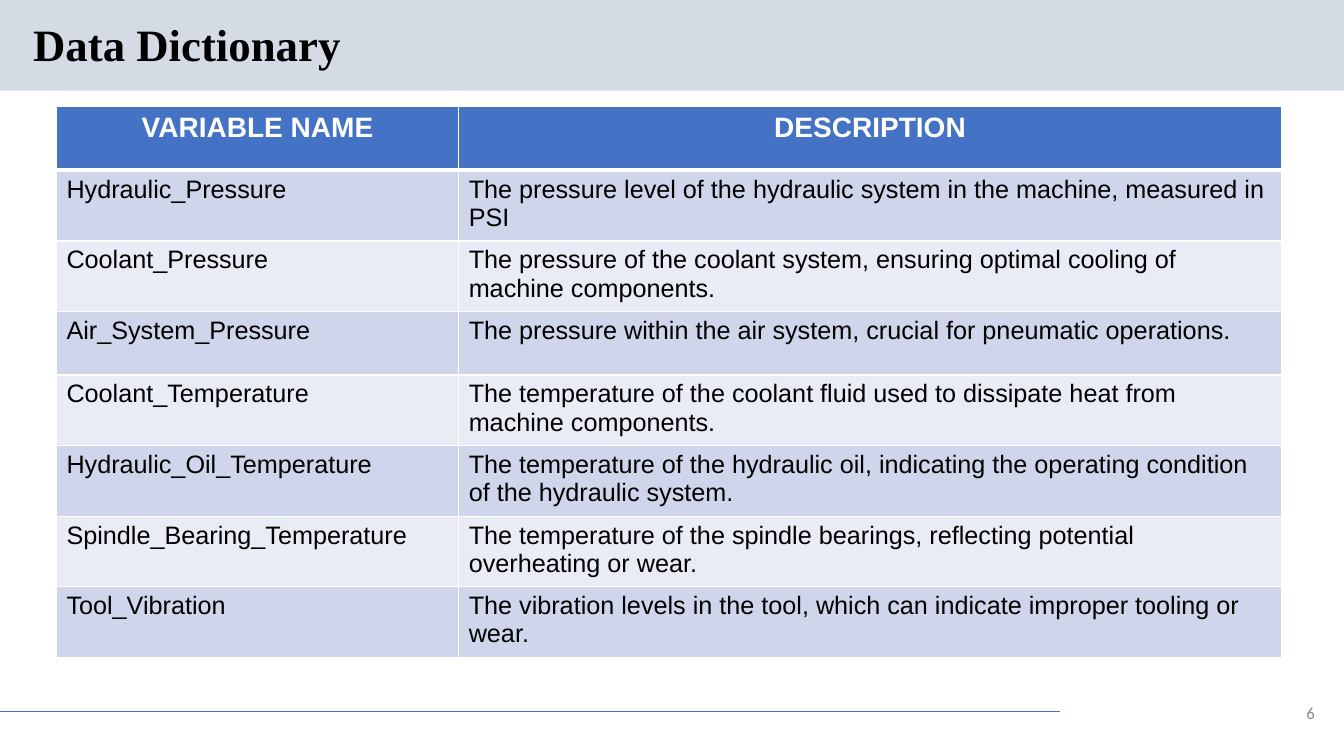
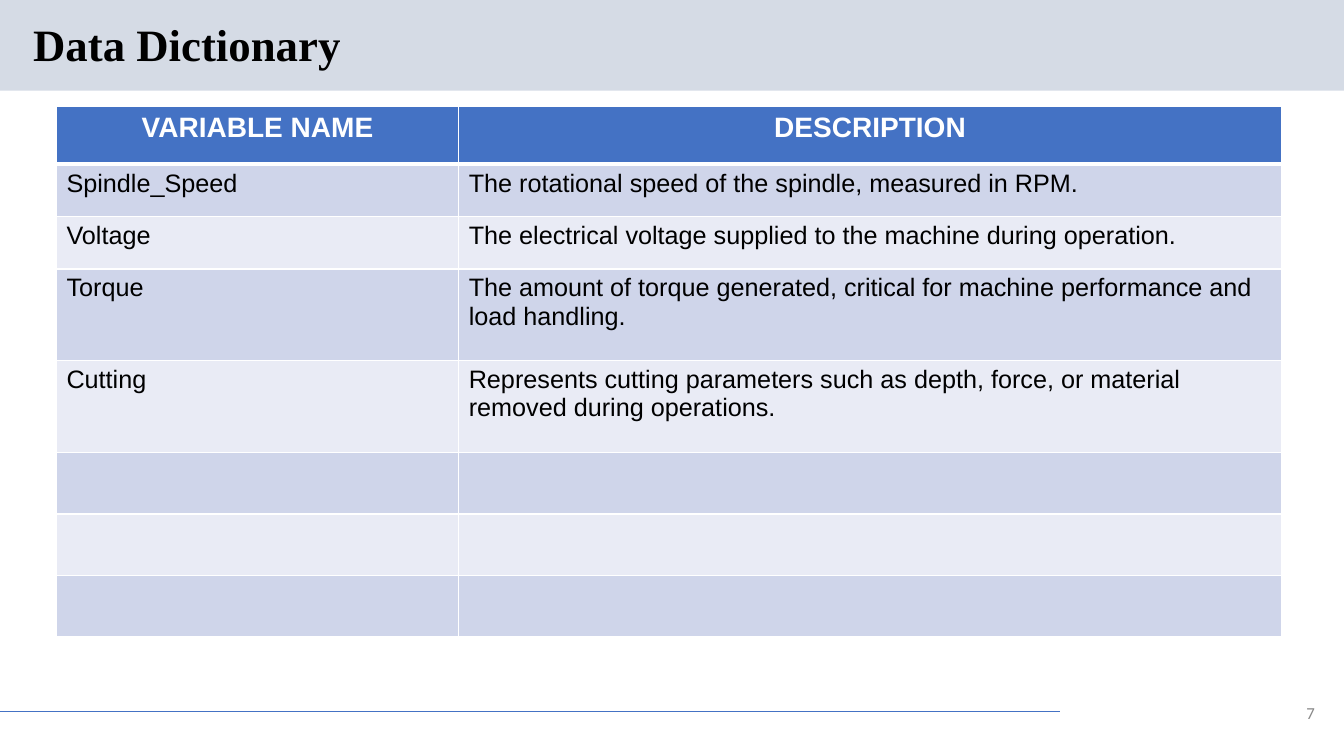
from dataclasses import dataclass

from lxml import etree
from pptx import Presentation
from pptx import util as u
from pptx.dml.color import RGBColor
from pptx.enum import shapes, text
from pptx.oxml.ns import qn

WHITE, BLACK, GREY = "FFFFFF", "000000", "888888"
BLUE, BAND = "4472C4", "D5DBE5"
ROW_FILLS = ("CFD5EA", "E9EBF5")
TITLE = "Data Dictionary"
HEADINGS = ("VARIABLE NAME", "DESCRIPTION")
COLUMN_WIDTHS = (3.99, 8.16)
LEFT, CENTER, RIGHT = text.PP_ALIGN.LEFT, text.PP_ALIGN.CENTER, text.PP_ALIGN.RIGHT


@dataclass(frozen=True)
class Variable:
    name: str = ""
    description: str = ""


@dataclass(frozen=True)
class DictionaryPage:
    number: int
    row_heights: tuple[float, ...]
    variables: tuple[Variable, ...]


PAGES = (
    DictionaryPage(6, (0.63,) * 8, (
        Variable("Hydraulic_Pressure",
                 "The pressure level of the hydraulic system in the machine, measured in PSI"),
        Variable("Coolant_Pressure",
                 "The pressure of the coolant system, ensuring optimal cooling of machine components."),
        Variable("Air_System_Pressure",
                 "The pressure within the air system, crucial for pneumatic operations."),
        Variable("Coolant_Temperature",
                 "The temperature of the coolant fluid used to dissipate heat from machine components."),
        Variable("Hydraulic_Oil_Temperature",
                 "The temperature of the hydraulic oil, indicating the operating condition "
                 "of the hydraulic system."),
        Variable("Spindle_Bearing_Temperature",
                 "The temperature of the spindle bearings, reflecting potential overheating or wear."),
        Variable("Tool_Vibration",
                 "The vibration levels in the tool, which can indicate improper tooling or wear."),
    )),
    DictionaryPage(7, (0.57, 0.52, 0.52, 0.91, 0.91, 0.61, 0.61, 0.61), (
        Variable("Spindle_Speed", "The rotational speed of the spindle, measured in RPM."),
        Variable("Voltage", "The electrical voltage supplied to the machine during operation."),
        Variable("Torque",
                 "The amount of torque generated, critical for machine performance and load handling."),
        Variable("Cutting",
                 "Represents cutting parameters such as depth, force, or material removed "
                 "during operations."),
        Variable(), Variable(), Variable(),
    )),
)


def color(value: str) -> RGBColor:
    return RGBColor.from_string(value)


def write(frame, content: str, *, size: float, font: str = "Arial", fill: str = BLACK,
          bold: bool = False, align=LEFT, spacing: float = 1.0) -> None:
    """Put one formatted paragraph into a text frame."""
    paragraph = frame.paragraphs[0]
    paragraph.alignment = align
    paragraph.line_spacing = spacing
    if not content:
        paragraph.font.size = u.Pt(size)
        return
    run = paragraph.add_run()
    run.text = content
    run.font.name = font
    run.font.size = u.Pt(size)
    run.font.bold = bold
    run.font.color.rgb = color(fill)


def add_text(slide, box: tuple[float, float, float, float], content: str, **style) -> None:
    frame = slide.shapes.add_textbox(*map(u.Inches, box)).text_frame
    frame.word_wrap = True
    frame.vertical_anchor = text.MSO_ANCHOR.MIDDLE
    write(frame, content, **style)


def set_border(cell, side: str, width: float) -> None:
    line = etree.SubElement(cell._tc.get_or_add_tcPr(), qn(f"a:ln{side}"), w=str(u.Pt(width)))
    fill = etree.SubElement(line, qn("a:solidFill"))
    etree.SubElement(fill, qn("a:srgbClr"), val=WHITE)


def add_frame(slide, number: int) -> None:
    # Title band
    band = slide.shapes.add_shape(shapes.MSO_SHAPE.RECTANGLE, 0, 0, u.Inches(13.33), u.Inches(0.9))
    band.shadow.inherit = False
    band.fill.solid()
    band.fill.fore_color.rgb = color(BAND)
    band.line.fill.background()
    # Footer rule
    rule = slide.shapes.add_connector(shapes.MSO_CONNECTOR.STRAIGHT, 0, u.Inches(7.06),
                                      u.Inches(10.51), u.Inches(7.06))
    rule.line.color.rgb = color(BLUE)
    rule.line.width = u.Pt(0.75)
    etree.SubElement(rule._element.spPr, qn("a:effectLst"))
    # Title and page number
    add_text(slide, (0.23, 0.17, 11.5, 0.59), TITLE, size=32, font="Times New Roman",
             bold=True, spacing=0.9)
    add_text(slide, (12.71, 6.91, 0.43, 0.32), str(number), size=12, font="Calibri",
             fill=GREY, align=RIGHT)


def add_dictionary(slide, page: DictionaryPage) -> None:
    rows = [HEADINGS] + [(item.name, item.description) for item in page.variables]
    table = slide.shapes.add_table(
        len(rows), len(COLUMN_WIDTHS), u.Inches(0.56), u.Inches(1.06),
        u.Inches(sum(COLUMN_WIDTHS)), u.Inches(sum(page.row_heights))).table
    for column, width in zip(table.columns, COLUMN_WIDTHS):
        column.width = u.Inches(width)
    for row, height in zip(table.rows, page.row_heights):
        row.height = u.Inches(height)

    for row_index, values in enumerate(rows):
        header = row_index == 0
        for column_index, value in enumerate(values):
            cell = table.cell(row_index, column_index)
            # A thick rule separates the header from the first variable
            for side in "LRTB":
                thick = (row_index, side) in ((0, "B"), (1, "T"))
                set_border(cell, side, 3 if thick else 1)
            cell.fill.solid()
            cell.fill.fore_color.rgb = color(BLUE if header else ROW_FILLS[(row_index - 1) % 2])
            if header:
                write(cell.text_frame, value, size=20, fill=WHITE, bold=True, align=CENTER)
            else:
                write(cell.text_frame, value, size=18)


def main() -> None:
    presentation = Presentation()
    presentation.slide_width = u.Inches(13.33)
    presentation.slide_height = u.Inches(7.5)
    for page in PAGES:
        slide = presentation.slides.add_slide(presentation.slide_layouts[6])
        add_frame(slide, page.number)
        add_dictionary(slide, page)
    presentation.save("out.pptx")


if __name__ == "__main__":
    main()
